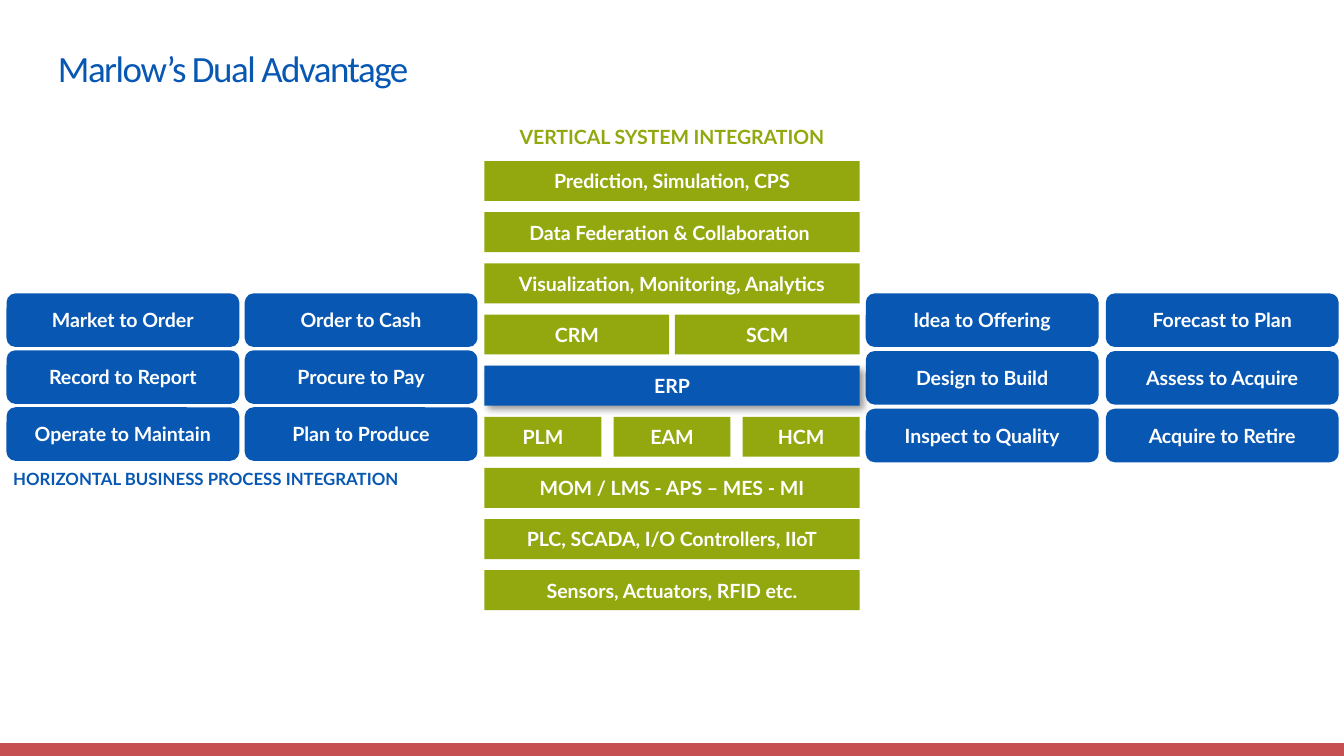
from lxml.etree import SubElement
from pptx import Presentation
from pptx.dml.color import RGBColor
from pptx.enum.shapes import MSO_SHAPE
from pptx.enum.text import MSO_ANCHOR, PP_ALIGN
from pptx.oxml.ns import qn
from pptx.util import Pt

# Content
TITLE = "Marlow’s Dual Advantage"
VERTICAL_LABEL = "VERTICAL SYSTEM INTEGRATION"
HORIZONTAL_LABEL = "HORIZONTAL BUSINESS PROCESS INTEGRATION"
SYSTEM_ROWS = [
    ["Prediction, Simulation, CPS"],
    ["Data Federation & Collaboration "],
    ["Visualization, Monitoring, Analytics"],
    ["CRM", "SCM"],
    ["ERP"],
    ["PLM", "EAM", "HCM"],
    ["MOM / LMS - APS – MES - MI"],
    ["PLC, SCADA, I/O Controllers, IIoT"],
    ["Sensors, Actuators, RFID etc."],
]
CORE_SYSTEM = "ERP"
LEFT_PROCESSES = [
    ["Market to Order", "Order to Cash"],
    ["Record to Report", "Procure to Pay"],
    ["Operate to Maintain", "Plan to Produce"],
]
RIGHT_PROCESSES = [
    ["Idea to Offering", "Forecast to Plan"],
    ["Design to Build", "Assess to Acquire"],
    ["Inspect to Quality", "Acquire to Retire"],
]

# Theme and layout, lengths in points
THEME = {
    "blue": "0757B3", "green": "92A80E", "red": "C64F51", "white": "FFFFFF",
    "title_font": "Calibri", "body_font": "Lato",
    "title_size": 19.8, "body_size": 10.5, "small_size": 9,
}
PAGE_WIDTH, PAGE_HEIGHT, FOOTER_HEIGHT = 720, 405, 6.8
STACK = {"left": 259.5, "top": 86.3, "width": 201, "height": 21.4, "pitch": 27.4}
STACK_GAPS = {1: 0, 2: 3, 3: 6.5}
PROCESS = {"top": 157.2, "width": 124.7, "height": 28.7}
SIDES = [  # processes, left edge, column pitch, row pitch
    (LEFT_PROCESSES, 3.5, 127.6, 30.5),
    (RIGHT_PROCESSES, 463.8, 128.6, 30.9),
]


def write(shape, text, size, color, align=PP_ALIGN.CENTER,
          anchor=MSO_ANCHOR.MIDDLE, font="body_font", bold=True):
    frame = shape.text_frame
    frame.word_wrap = True
    frame.vertical_anchor = anchor
    para = frame.paragraphs[0]
    para.alignment = align
    span = para.add_run()
    span.text = text
    formats = {"name": THEME[font], "size": Pt(THEME[size]), "bold": bold}
    for name, value in formats.items():
        setattr(span.font, name, value)
    span.font.color.rgb = RGBColor.from_string(THEME[color])
    return span


def add_block(page, kind, place, color, text=""):
    box = page.shapes.add_shape(kind, *map(Pt, place))
    box.shadow.inherit = False
    box.fill.solid()
    box.fill.fore_color.rgb = RGBColor.from_string(THEME[color])
    box.line.fill.background()
    if text:
        write(box, text, "body_size", "white")
    return box


def add_label(page, place, text, size, color, align):
    box = page.shapes.add_textbox(*map(Pt, place))
    write(box, text, size, color, align, MSO_ANCHOR.TOP)


def add_shadow(box):
    effects = box._element.spPr.find(qn("a:effectLst"))
    shadow = SubElement(effects, qn("a:outerShdw"), blurRad=str(Pt(4)),
                        dist=str(Pt(3)), dir="2700000", algn="tl", rotWithShape="0")
    color = SubElement(shadow, qn("a:srgbClr"), val="000000")
    SubElement(color, qn("a:alpha"), val="40000")


def add_title(page):
    title = page.shapes.title
    place = {"left": 23.8, "top": 22.3, "width": 297.4, "height": 28.1}
    for name, value in place.items():
        setattr(title, name, Pt(value))
    span = write(title, TITLE, "title_size", "blue", PP_ALIGN.LEFT,
                 font="title_font", bold=False)
    span.font._element.set("spc", "-80")


def add_processes(page):
    width, height = PROCESS["width"], PROCESS["height"]
    for rows, left, column_pitch, row_pitch in SIDES:
        for row, names in enumerate(rows):
            for column, name in enumerate(names):
                place = (left + column * column_pitch,
                         PROCESS["top"] + row * row_pitch, width, height)
                add_block(page, MSO_SHAPE.ROUNDED_RECTANGLE, place, "blue", name)


def add_systems(page):
    for row, names in enumerate(SYSTEM_ROWS):
        gap = STACK_GAPS[len(names)]
        width = (STACK["width"] + gap) / len(names) - gap
        top = STACK["top"] + row * STACK["pitch"]
        for column, name in enumerate(names):
            is_core = name == CORE_SYSTEM
            place = (STACK["left"] + column * (width + gap), top, width, STACK["height"])
            box = add_block(page, MSO_SHAPE.RECTANGLE, place,
                            "blue" if is_core else "green", name)
            if is_core:
                add_shadow(box)


def main():
    deck = Presentation()
    deck.slide_width, deck.slide_height = Pt(PAGE_WIDTH), Pt(PAGE_HEIGHT)
    page = deck.slides.add_slide(deck.slide_layouts[5])

    # Footer band and title
    footer = (0, PAGE_HEIGHT - FOOTER_HEIGHT, PAGE_WIDTH, FOOTER_HEIGHT)
    add_block(page, MSO_SHAPE.RECTANGLE, footer, "red")
    add_title(page)

    # Labels of the two directions
    add_label(page, (0, 247.7, 269.3, 18), HORIZONTAL_LABEL,
              "small_size", "blue", PP_ALIGN.LEFT)
    add_label(page, (STACK["left"], 63.4, STACK["width"], 20), VERTICAL_LABEL,
              "body_size", "green", PP_ALIGN.CENTER)

    # Business processes at both sides of the system stack
    add_processes(page)
    add_systems(page)
    deck.save("out.pptx")


if __name__ == "__main__":
    main()
